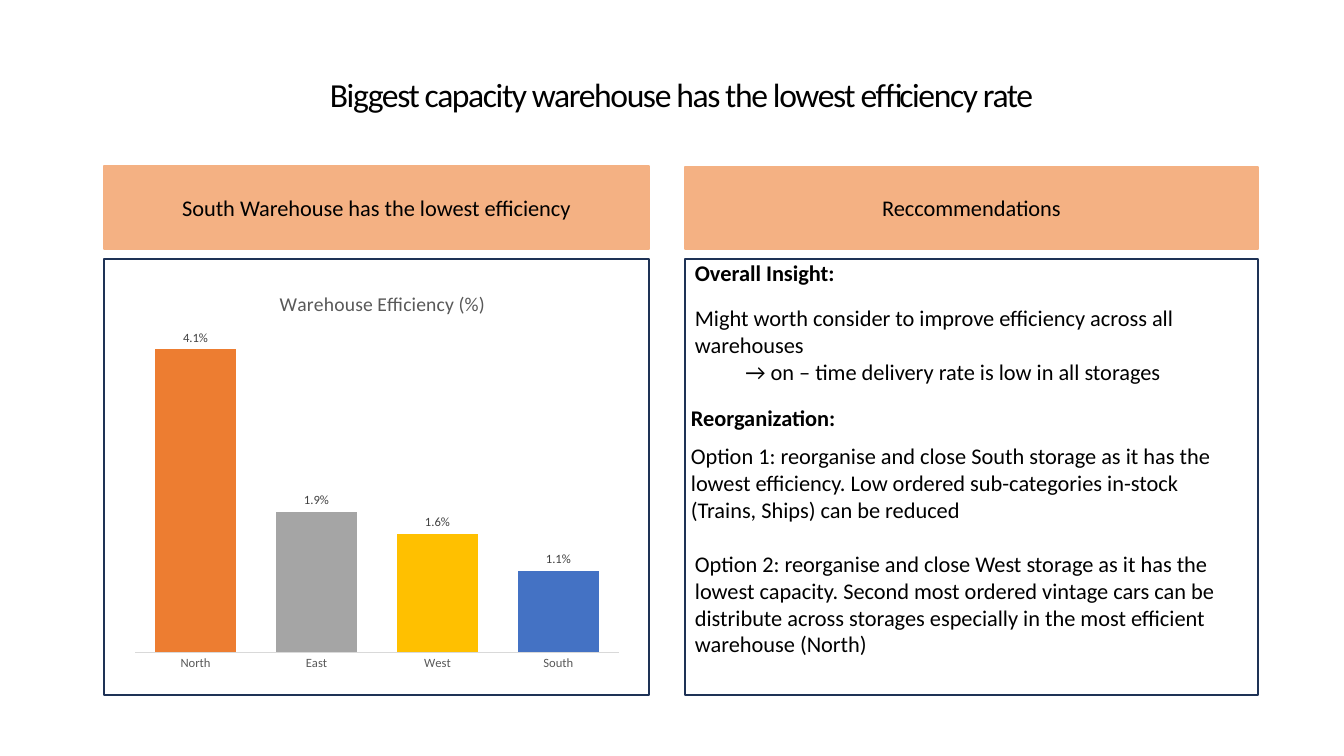
from lxml import etree
from pptx import Presentation
from pptx.chart.data import CategoryChartData
from pptx.dml.color import RGBColor
from pptx.enum.chart import XL_CHART_TYPE as Kind, XL_LABEL_POSITION as Spot
from pptx.enum.chart import XL_TICK_MARK as Tick
from pptx.enum.shapes import MSO_SHAPE as Form
from pptx.enum.text import MSO_ANCHOR as Anchor, PP_ALIGN as Align
from pptx.oxml import parse_xml
from pptx.util import Emu, Pt

SCALE = 914400 / 100.8
FONT = "Calibri"
CHART_NS = "http://schemas.openxmlformats.org/drawingml/2006/chart"
PEACH, NAVY, GREY = "F4B183", "1E3256", "595959"
LEFT, RIGHT = (104, 545), (685, 573)

BARS = [("North", 0.041, "ED7D31"), ("East", 0.019, "A5A5A5"),
        ("West", 0.016, "FFC000"), ("South", 0.011, "4472C4")]

NOTES = [
    (685, 254, 37, True, "Overall Insight:"),
    (685, 299, 92, False,
     "Might worth consider to improve efficiency across all warehouses\n"
     "\t→ on – time delivery rate is low in all storages"),
    (681, 399, 37, True, "Reorganization:"),
    (681, 437, 92, False,
     "Option 1: reorganise and close South storage as it has the lowest "
     "efficiency. Low ordered sub-categories in-stock (Trains, Ships) can "
     "be reduced"),
    (685, 545, 119, False,
     "Option 2: reorganise and close West storage as it has the lowest "
     "capacity. Second most ordered vintage cars can be distribute across "
     "storages especially in the most efficient warehouse (North)"),
]


def px(*nums):
    """Turn px lengths into EMU."""
    return [Emu(round(num * SCALE)) for num in nums]


def color(code):
    return RGBColor.from_string(code)


def style(font, size, code="000000", bold=False):
    font.name, font.size, font.bold = FONT, Pt(size), bold
    font.color.rgb = color(code)


def write(shape, text, size=16, bold=False, align=Align.LEFT,
          anchor=Anchor.TOP, space=None, track=None):
    """Fill a shape with one paragraph per line; track is in points."""
    frame = shape.text_frame
    frame.word_wrap = True
    frame.vertical_anchor = anchor
    for num, line in enumerate(text.split("\n")):
        para = frame.add_paragraph() if num else frame.paragraphs[0]
        para.alignment, para.line_spacing = align, space
        run = para.add_run()
        run.text = line
        style(run.font, size, bold=bold)
        if track:
            run.font._element.set("spc", str(track * 100))


def add_text(slide, box, text, **form):
    write(slide.shapes.add_textbox(*px(*box)), text, **form)


def add_rect(slide, box, line, fill=None):
    rect = slide.shapes.add_shape(Form.RECTANGLE, *px(*box))
    rect.shadow.inherit = False
    rect.line.color.rgb = color(line)
    rect.line.width = Pt(1)
    if fill:
        rect.fill.solid()
        rect.fill.fore_color.rgb = color(fill)
    else:
        rect.fill.background()
    return rect


def add_panel(slide, span, top, head):
    """Add a header band that ends at 249 px, and the frame below it."""
    left, width = span
    band = add_rect(slide, (left, top, width, 249 - top), PEACH, PEACH)
    write(band, head, align=Align.CENTER, anchor=Anchor.MIDDLE)
    add_rect(slide, (left, 259, width, 436), NAVY)


def place(parent, index, **parts):
    """Give a chart part a manual layout, in shares of the chart."""
    for old in parent.findall(f"{{{CHART_NS}}}layout"):
        parent.remove(old)
    layout = parse_xml(f'<c:layout xmlns:c="{CHART_NS}"><c:manualLayout/></c:layout>')
    for tag, val in parts.items():
        etree.SubElement(layout[0], f"{{{CHART_NS}}}{tag}").set("val", str(val))
    parent.insert(index, layout)


def add_bars(slide, box):
    data = CategoryChartData(number_format="0.0%")
    data.categories = [name for name, _, _ in BARS]
    data.add_series("Series 1", [val for _, val, _ in BARS])
    chart = slide.shapes.add_chart(Kind.COLUMN_CLUSTERED, *px(*box), data).chart
    style(chart.font, 10)
    chart.has_legend = False

    title = chart.chart_title
    run = title.text_frame.paragraphs[0].add_run()
    run.text = "Warehouse Efficiency (%)"
    style(run.font, 14, GREY)
    title.include_in_layout = False
    place(title._element, 1, xMode="edge", yMode="edge", x=0.3, y=0.05)
    area = chart._chartSpace.chart.plotArea
    place(area, 0, layoutTarget="inner", xMode="edge", yMode="edge",
          x=0.02, y=0.13, w=0.96, h=0.805)

    axis = chart.category_axis
    axis.major_tick_mark = axis.minor_tick_mark = Tick.NONE
    style(axis.tick_labels.font, 9, GREY)
    axis.format.line.color.rgb = color("D9D9D9")
    axis.format.line.width = Pt(0.75)
    scale = chart.value_axis
    scale.has_major_gridlines = scale.visible = False
    scale.minimum_scale, scale.maximum_scale = 0, 0.045

    plot = chart.plots[0]
    plot.gap_width, plot.overlap, plot.vary_by_categories = 50, -27, False
    series = plot.series[0]
    for num, (_, _, code) in enumerate(BARS):
        fill = series.points[num].format.fill
        fill.solid()
        fill.fore_color.rgb = color(code)
    labels = series.data_labels
    labels.show_value, labels.position = True, Spot.OUTSIDE_END
    labels.number_format, labels.number_format_is_linked = "0.0%", False
    style(labels.font, 9, "404040")


def main():
    deck = Presentation()
    deck.slide_width, deck.slide_height = px(1344, 756)
    slide = deck.slides.add_slide(deck.slide_layouts[6])
    add_text(slide, (105, 40, 1153, 113),
             "Biggest capacity warehouse has the lowest efficiency rate",
             size=24, align=Align.CENTER, anchor=Anchor.MIDDLE,
             space=0.9, track=-1)
    add_panel(slide, LEFT, 166, "South Warehouse has the lowest efficiency")
    add_panel(slide, RIGHT, 167, "Reccommendations")
    add_bars(slide, (125, 266, 504, 413))
    for left, top, height, bold, text in NOTES:
        add_text(slide, (left, top, RIGHT[1], height), text, bold=bold)
    deck.save("out.pptx")


if __name__ == "__main__":
    main()
